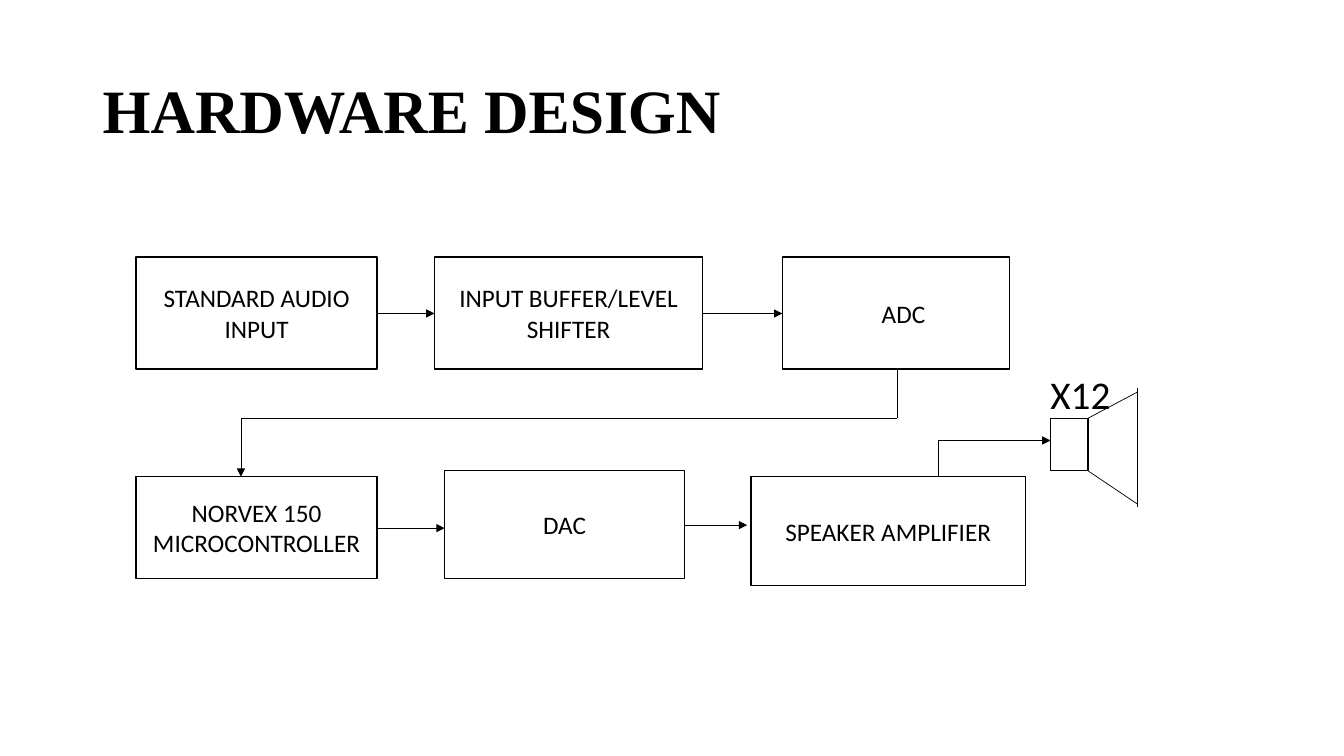
from pptx import Presentation
from pptx.dml.color import RGBColor
from pptx.enum.shapes import MSO_CONNECTOR, MSO_SHAPE
from pptx.enum.text import MSO_ANCHOR, PP_ALIGN
from pptx.oxml.ns import qn
from pptx.util import Inches, Pt
from lxml.etree import SubElement

BLACK, WHITE = "000000", "FFFFFF"


def color(code):
    return RGBColor.from_string(code)


def style(frame, text, size, font="Calibri", bold=False, align=PP_ALIGN.LEFT):
    frame.text = text
    frame.word_wrap = True
    for para in frame.paragraphs:
        para.alignment = align
        for run in para.runs:
            run.font.name = font
            run.font.size = Pt(size)
            run.font.bold = bold
            run.font.color.rgb = color(BLACK)


def add_label(slide, text, place, size, anchor=MSO_ANCHOR.TOP, **look):
    label = slide.shapes.add_textbox(*map(Inches, place))
    style(label.text_frame, text, size, **look)
    label.text_frame.vertical_anchor = anchor
    return label


def add_block(slide, place, text=""):
    block = slide.shapes.add_shape(MSO_SHAPE.RECTANGLE, *map(Inches, place))
    block.shadow.inherit = False
    block.fill.solid()
    block.fill.fore_color.rgb = color(WHITE)
    block.line.color.rgb = color(BLACK)
    block.line.width = Pt(1)
    if text:
        style(block.text_frame, text, 18, align=PP_ALIGN.CENTER)
        block.text_frame.vertical_anchor = MSO_ANCHOR.MIDDLE
    return block


def add_wire(slide, start, end, arrow=False):
    wire = slide.shapes.add_connector(
        MSO_CONNECTOR.STRAIGHT, *map(Inches, start + end))
    wire.line.color.rgb = color(BLACK)
    wire.line.width = Pt(0.5)
    if arrow:
        line = wire._element.spPr.find(qn("a:ln"))
        SubElement(line, qn("a:tailEnd"), type="triangle")
    SubElement(wire._element.spPr, qn("a:effectLst"))


def add_route(slide, *points):
    """Join the points with wires; the last wire has an arrowhead."""
    last = len(points) - 1
    for i in range(last):
        add_wire(slide, points[i], points[i + 1], arrow=i + 1 == last)


def add_speaker(slide):
    left, right, top, base = 10.79, 11.28, 4.15, 4.67
    add_block(slide, (10.42, top, 0.37, base - top))
    add_wire(slide, (left, top), (right, 3.89))
    add_wire(slide, (left, base), (right, 5))
    add_wire(slide, (right, 3.85), (right, 5.03))


def main():
    deck = Presentation()
    deck.slide_width, deck.slide_height = Inches(13.33), Inches(7.5)
    slide = deck.slides.add_slide(deck.slide_layouts[6])

    # Title and speaker count
    title = add_label(slide, "HARDWARE DESIGN", (0.92, 0.4, 11.5, 1.45), 44,
                      MSO_ANCHOR.MIDDLE, font="Times New Roman", bold=True)
    title.text_frame.paragraphs[0].line_spacing = 0.9
    add_label(slide, "X12", (10.32, 3.62, 0.9, 0.57), 28)

    # Input stage
    add_block(slide, (1.35, 2.55, 2.39, 1.11), "STANDARD AUDIO INPUT")
    add_block(slide, (4.31, 2.55, 2.66, 1.11), "INPUT BUFFER/LEVEL SHIFTER")
    adc = add_block(slide, (7.76, 2.55, 2.25, 1.11), "ADC")
    adc.text_frame.margin_left = Inches(0.25)

    # Output stage
    add_block(slide, (1.35, 4.73, 2.39, 1.01), "NORVEX 150 MICROCONTROLLER")
    add_block(slide, (4.41, 4.67, 2.38, 1.07), "DAC")
    add_block(slide, (7.45, 4.73, 2.72, 1.08), "SPEAKER AMPLIFIER")
    add_speaker(slide)

    # Signal path
    for left, right, y in ((3.75, 4.31, 3.11), (6.97, 7.76, 3.11),
                           (3.75, 4.41, 5.24), (6.79, 7.41, 5.21)):
        add_route(slide, (left, y), (right, y))
    add_route(slide, (8.9, 3.66), (8.9, 4.15), (2.39, 4.15), (2.39, 4.73))
    add_route(slide, (9.31, 4.73), (9.31, 4.37), (10.42, 4.37))

    deck.save("out.pptx")


if __name__ == "__main__":
    main()
